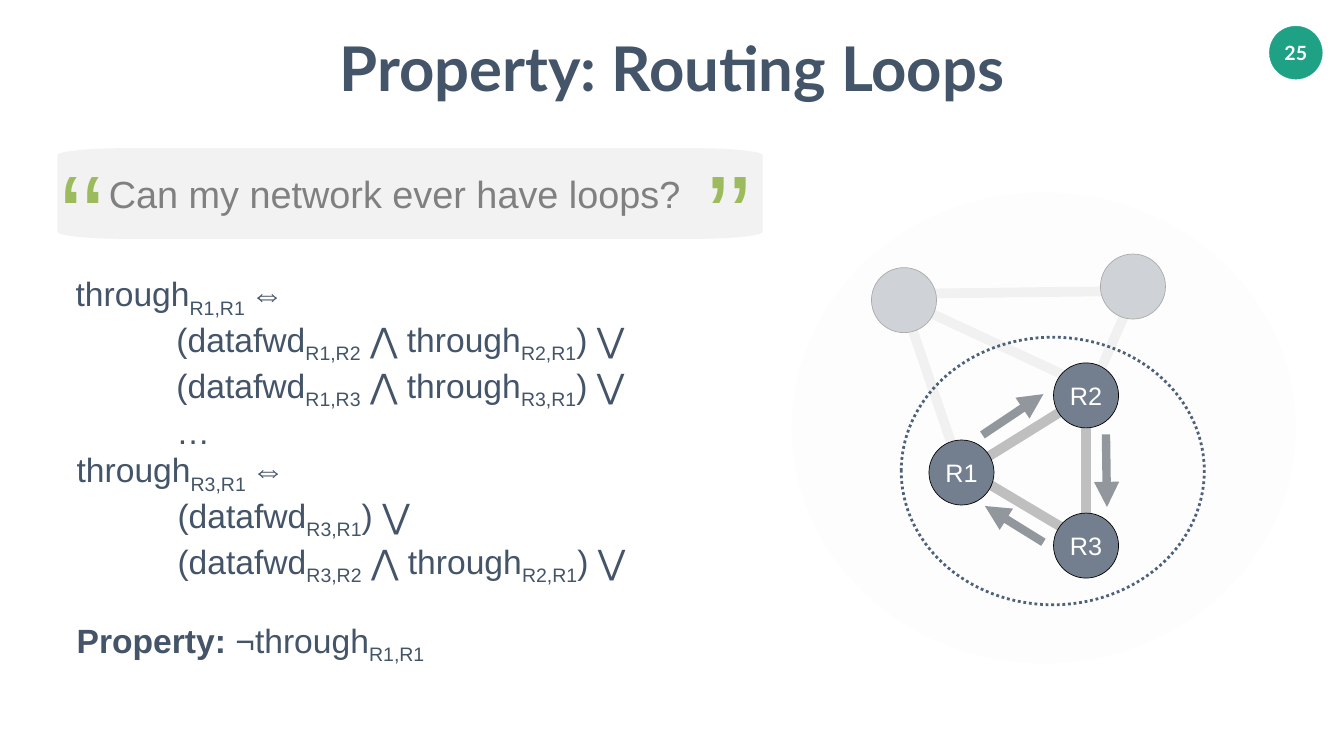
from math import cos, pi, sin

from lxml.etree import SubElement
from pptx import Presentation
from pptx.dml.color import RGBColor
from pptx.enum.dml import MSO_LINE
from pptx.enum.shapes import MSO_CONNECTOR, MSO_SHAPE
from pptx.enum.text import MSO_ANCHOR, MSO_AUTO_SIZE, PP_ALIGN
from pptx.oxml.ns import qn
from pptx.util import Inches, Pt

TITLE = "Property: Routing Loops"
NUMBER = "25"
QUESTION = "Can my network ever have loops?"
INK, NODE, GREEN, WHITE = "445469", "737F8E", "9BBB5C", "FFFFFF"

# Text between bars is subscript; the flag marks an indented line.
LOOP_R1 = [
    ("through|R1,R1 |⇔", False),
    ("(datafwd|R1,R2| ⋀ through|R2,R1|) ⋁", True),
    ("(datafwd|R1,R3| ⋀ through|R3,R1|) ⋁", True),
    ("…", True),
]
LOOP_R3 = [
    ("through|R3,R1 |⇔", False),
    ("(datafwd|R3,R1|) ⋁", True),
    ("(datafwd|R3,R2| ⋀ through|R2,R1|) ⋁", True),
]
GOAL = [("Property: ||¬through|R1,R1", False)]

DOT = 1.29
FADED = [(21.82, 5.04), (17.28, 5.31)]
ROUTERS = {"R3": (20.89, 10.18), "R1": (18.42, 8.73), "R2": (20.89, 7.2)}
FADED_LINKS = [
    (21.79, 7.41, 22.53, 5.72), (19.03, 9.28, 17.95, 6.12),
    (21.39, 7.58, 18.04, 6.02), (22.72, 5.77, 17.96, 5.83),
]
LINKS = [
    (19.42, 9.17, 21.19, 8.07), (21.25, 10.58, 19.25, 9.39),
    (21.53, 10.72, 21.53, 7.95),
]
ARROWS = [
    (19.48, 8.63, 20.69, 7.82), (21.93, 8.62, 21.95, 10.06),
    (20.69, 10.76, 19.53, 10.04),
]

deck = Presentation()
deck.slide_width, deck.slide_height = Inches(26.65), Inches(15)
slide = deck.slides.add_slide(deck.slide_layouts[5])
shapes = slide.shapes


def rgb(code):
    return RGBColor.from_string(code)


def style(font, size, color, name="Arial", bold=False):
    font.size, font.name, font.bold = Pt(size), name, bold
    font.color.rgb = rgb(color)


def inset(frame, gap):
    frame.margin_left = frame.margin_right = Inches(gap)
    frame.margin_top = frame.margin_bottom = Inches(gap)


def label(frame, text, size, color, name="Arial", bold=False, align=PP_ALIGN.CENTER):
    frame.text = text
    para = frame.paragraphs[0]
    para.alignment = align
    style(para.runs[0].font, size, color, name, bold)


def box(left, top, width, height, gap):
    frame = shapes.add_textbox(*map(Inches, (left, top, width, height))).text_frame
    frame.word_wrap = True
    inset(frame, gap)
    return frame


def oval(left, top, width, height, fill=None, line=None, weight=1.0):
    shape = shapes.add_shape(MSO_SHAPE.OVAL, *map(Inches, (left, top, width, height)))
    shape.shadow.inherit = False
    if fill:
        shape.fill.solid()
        shape.fill.fore_color.rgb = rgb(fill)
    else:
        shape.fill.background()
    if line:
        shape.line.color.rgb = rgb(line)
        shape.line.width = Pt(weight)
    else:
        shape.line.fill.background()
    shape.text_frame.word_wrap = False
    shape.text_frame.vertical_anchor = MSO_ANCHOR.MIDDLE
    inset(shape.text_frame, 0)
    return shape


def link(ends, color, weight, arrow=False):
    line = shapes.add_connector(MSO_CONNECTOR.STRAIGHT, *map(Inches, ends))
    line.line.color.rgb = rgb(color)
    line.line.width = Pt(weight)
    if arrow:
        SubElement(line.line._get_or_add_ln(), qn("a:tailEnd"), type="triangle")
    SubElement(line._element.spPr, qn("a:effectLst"))


def card(left, top, width, height, rx, ry, fill):
    """Draw a panel whose corners are quarter ellipses."""
    mid_x, mid_y = left + width / 2, top + height / 2
    points = []
    for turn, (sx, sy) in enumerate([(1, 1), (-1, 1), (-1, -1), (1, -1)]):
        for step in range(13):
            angle = (turn + step / 12) * pi / 2
            x = mid_x + sx * (width / 2 - rx) + rx * cos(angle)
            y = mid_y + sy * (height / 2 - ry) + ry * sin(angle)
            points.append((Inches(x), Inches(y)))
    path = shapes.build_freeform(*points[0])
    path.add_line_segments(points[1:])
    shape = path.convert_to_shape()
    shape.shadow.inherit = False
    shape.fill.solid()
    shape.fill.fore_color.rgb = rgb(fill)
    shape.line.fill.background()


def logic(rows, left, top, width, height):
    """Write formula lines, splitting off subscripts at the bars."""
    frame = box(left, top, width, height, 0.05)
    for row, (text, deep) in enumerate(rows):
        para = frame.add_paragraph() if row else frame.paragraphs[0]
        if deep:
            para._p.get_or_add_pPr().set("marL", str(Inches(2)))
        for part, piece in enumerate(text.split("|")):
            if not piece:
                continue
            run = para.add_run()
            run.text = piece
            style(run.font, 48, INK, bold=piece.startswith("Property"))
            if part % 2:
                run._r.get_or_add_rPr().set("baseline", "-25000")


# Heading and page number
badge = oval(25.17, 0.52, 1.05, 1.05, "1EA185", "1EA185", 0.5)
label(badge.text_frame, NUMBER, 28, WHITE, "Lato", True)
title = shapes.title
title.left, title.top, title.width, title.height = map(Inches, (6.66, 0.53, 13.33, 1.58))
head = title.text_frame
head.word_wrap, head.auto_size = False, MSO_AUTO_SIZE.NONE
head.vertical_anchor = MSO_ANCHOR.MIDDLE
inset(head, 0.05)
label(head, TITLE, 88, INK, "Lato", True)

# Quoted question
card(1.14, 2.94, 13.98, 1.8, 1.35, 0.14, "F2F2F2")
label(box(2.06, 3.29, 12.5, 1.11, 0.1), QUESTION, 54, "808080", align=PP_ALIGN.LEFT)
for left, mark in [(0.66, "‘‘"), (13.48, "’’")]:
    frame = box(left, 2.7, 1.96, 2.76, 0.1)
    label(frame, mark, 166, GREEN)
    frame.paragraphs[0].runs[0]._r.get_or_add_rPr().set("spc", "-300")

# Formulas
logic(LOOP_R1, 1.45, 5.37, 11, 3.33)
logic(LOOP_R3, 1.47, 8.86, 11, 2.52)
logic(GOAL, 1.47, 12.25, 7.42, 0.91)

# Network: faded part, veil, then the loop
for ends in FADED_LINKS:
    link(ends, "D9D9D9", 14)
for left, top in FADED:
    oval(left, top, DOT, DOT, NODE, "000000")
veil = oval(15.7, 3.82, 9.99, 9.34, "FDFDFD")
tint = veil._element.spPr.find(qn("a:solidFill"))[0]
SubElement(tint, qn("a:alpha"), val="67000")
ring = oval(17.87, 6.69, 6.01, 5.31, None, "4E617A", 4)
ring.line.dash_style = MSO_LINE.ROUND_DOT
for ends in LINKS:
    link(ends, "BFBFBF", 14)
for ends in ARROWS:
    link(ends, "92979D", 12, True)
for name, (left, top) in ROUTERS.items():
    node = oval(left, top, DOT, DOT, NODE, "000000")
    label(node.text_frame, name, 36, WHITE)

deck.save("out.pptx")
